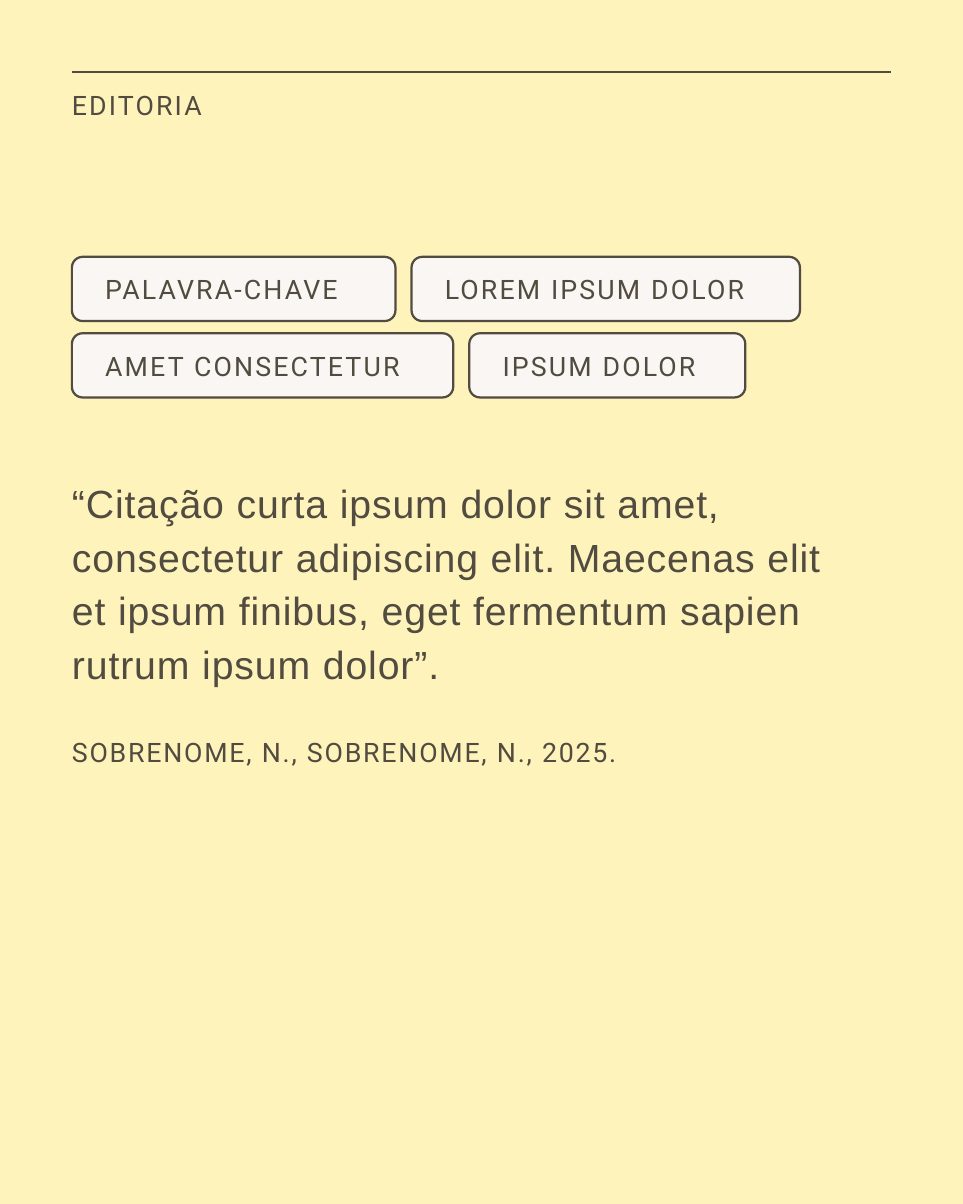
"""Build the quote card with a section label, keyword tags and a citation."""
from lxml.etree import SubElement
from pptx import Presentation
from pptx.dml.color import RGBColor
from pptx.enum.shapes import MSO_CONNECTOR, MSO_SHAPE
from pptx.enum.text import MSO_ANCHOR, MSO_AUTO_SIZE, PP_ALIGN
from pptx.oxml.ns import qn
from pptx.util import Inches, Pt

INK = RGBColor(0x51, 0x4B, 0x40)
CREAM = RGBColor(0xFF, 0xF3, 0xBC)
TAG_FILL = RGBColor(0xFA, 0xF6, 0xF3)

SECTION = "EDITORIA"
TAG_ROWS = [
    [("PALAVRA-CHAVE", 5.04), ("LOREM IPSUM DOLOR", 6.05)],
    [("AMET CONSECTETUR", 5.94), ("IPSUM DOLOR", 4.3)],
]
QUOTE = (
    "“Citação curta ipsum dolor sit amet, consectetur adipiscing elit. "
    "Maecenas elit et ipsum finibus, eget fermentum sapien rutrum ipsum dolor”."
)
CITATION = "SOBRENOME, N., SOBRENOME, N., 2025."

SLIDE_W, SLIDE_H = 15, 18.75
MARGIN = 1.12
CONTENT_W = SLIDE_W - 2 * MARGIN
RULE_W = 2.5
TAG_TOP, TAG_H, TAG_PITCH, TAG_GAP = 4, 1, 1.19, 0.25


def place(shape, left, top, width, height):
    shape.left, shape.top = Inches(left), Inches(top)
    shape.width, shape.height = Inches(width), Inches(height)


def set_frame(frame, insets, anchor):
    frame.word_wrap = True
    frame.auto_size = MSO_AUTO_SIZE.NONE
    frame.vertical_anchor = anchor
    frame.margin_left, frame.margin_top, frame.margin_right, frame.margin_bottom = map(Inches, insets)


def write(paragraph, text, font="Roboto", size=30, tracking=2.4):
    run = paragraph.add_run()
    run.text = text
    run._r.get_or_add_rPr().set("spc", str(round(tracking * 100)))
    paragraph.alignment = PP_ALIGN.LEFT
    paragraph.font.name = font
    paragraph.font.size = Pt(size)
    paragraph.font.color.rgb = INK


def write_plain(paragraph, text, leading, space_before, **style):
    properties = paragraph._p.get_or_add_pPr()
    properties.set("marL", "0")
    properties.set("indent", "0")
    SubElement(properties, qn("a:buNone"))
    paragraph.line_spacing = Pt(leading)
    paragraph.space_before = Pt(space_before)
    write(paragraph, text, **style)


def add_rule(slide):
    rule = slide.shapes.add_connector(
        MSO_CONNECTOR.STRAIGHT, Inches(MARGIN), Inches(MARGIN), Inches(SLIDE_W - MARGIN), Inches(MARGIN))
    rule.line.color.rgb = INK
    rule.line.width = Pt(RULE_W)
    SubElement(rule._element.spPr, qn("a:effectLst"))


def add_tag(slide, label, left, top, width):
    tag = slide.shapes.add_shape(
        MSO_SHAPE.ROUNDED_RECTANGLE, Inches(left), Inches(top), Inches(width), Inches(TAG_H))
    tag.shadow.inherit = False
    tag.fill.solid()
    tag.fill.fore_color.rgb = TAG_FILL
    tag.line.color.rgb = INK
    tag.line.width = Pt(RULE_W)
    set_frame(tag.text_frame, (0.47, 0.2, 0.47, 0.2), MSO_ANCHOR.MIDDLE)
    write(tag.text_frame.paragraphs[0], label)


def main():
    deck = Presentation()
    deck.slide_width, deck.slide_height = Inches(SLIDE_W), Inches(SLIDE_H)
    slide = deck.slides.add_slide(deck.slide_layouts[1])
    slide.background.fill.solid()
    slide.background.fill.fore_color.rgb = CREAM
    add_rule(slide)

    section, quote = slide.placeholders
    place(section, MARGIN, 1.38, CONTENT_W, 0.51)
    set_frame(section.text_frame, (0, 0, 0, 0), MSO_ANCHOR.TOP)
    write(section.text_frame.paragraphs[0], SECTION)

    place(quote, MARGIN, 6.19, CONTENT_W, 6.79)
    set_frame(quote.text_frame, (0, 1.18, 0.59, 0), MSO_ANCHOR.TOP)
    write_plain(quote.text_frame.paragraphs[0], QUOTE, 60, 0, font="Arial", size=44, tracking=1)
    write_plain(quote.text_frame.add_paragraph(), CITATION, 45, 45, tracking=2)

    for row, tags in enumerate(TAG_ROWS):
        left = MARGIN
        for label, width in tags:
            add_tag(slide, label, left, TAG_TOP + row * TAG_PITCH, width)
            left += width + TAG_GAP

    deck.save("out.pptx")


if __name__ == "__main__":
    main()
